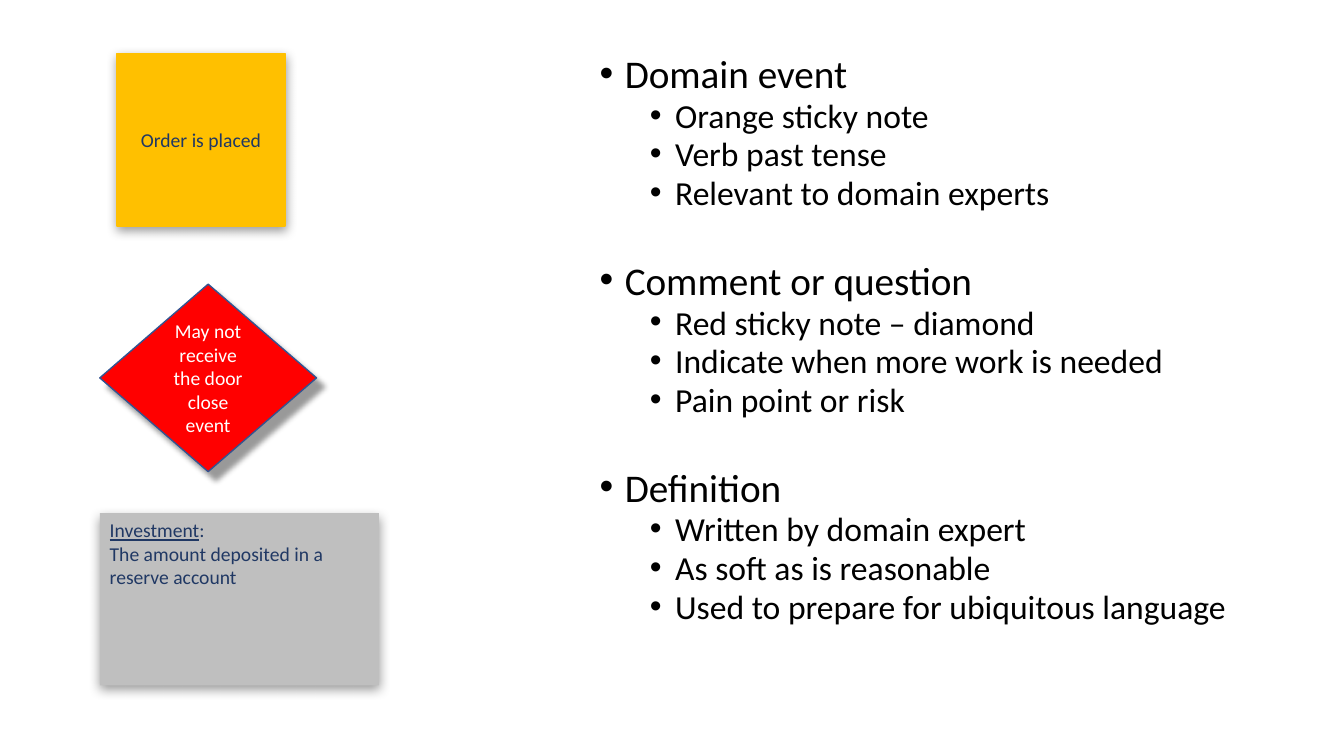
from lxml.etree import SubElement
from pptx import Presentation
from pptx.dml.color import RGBColor
from pptx.enum.shapes import MSO_SHAPE as Shape
from pptx.enum.text import MSO_ANCHOR as Anchor, PP_ALIGN as Align
from pptx.oxml.ns import qn
from pptx.util import Pt

BLACK = RGBColor(0, 0, 0)
WHITE = RGBColor(255, 255, 255)
NAVY = RGBColor(0x20, 0x38, 0x64)
BLUE = RGBColor(0x32, 0x54, 0x91)
ORANGE = RGBColor(0xFF, 0xC0, 0)
RED = RGBColor(255, 0, 0)
GRAY = RGBColor(0xBF, 0xBF, 0xBF)
FONT = "Calibri"

TOPICS = [
    ("Domain event", ["Orange sticky note", "Verb past tense",
                      "Relevant to domain experts"]),
    ("Comment or question", ["Red sticky note – diamond",
                             "Indicate when more work is needed",
                             "Pain point or risk"]),
    ("Definition", ["Written by domain expert", "As soft as is reasonable",
                    "Used to prepare for ubiquitous language"]),
]
LIST_BOX = (421.2, 38.2, 489.6, 450.7)
TOPIC_GAP = 37.9

# shadow: blur, distance, angle in degrees
SOFT = (8, 3, 90)
HARD = (4, 8, 50)
# kind, box, fill, line, text colour, shadow, centred, lines
NOTES = [
    (Shape.RECTANGLE, (83.5, 38.2, 120.2, 123.1), ORANGE, ORANGE, NAVY,
     SOFT, True, ["Order is placed"]),
    (Shape.DIAMOND, (71.3, 203, 154.8, 133.9), RED, BLUE, WHITE,
     HARD, True, ["May not receive the door close event"]),
    (Shape.RECTANGLE, (71.3, 366.5, 199.4, 123.1), GRAY, None, NAVY,
     SOFT, False, ["Investment:", "The amount deposited in a reserve account"]),
]


def style(run, size, color):
    run.font.name = FONT
    run.font.size = Pt(size)
    run.font.color.rgb = color


def add_bullet(para, text, level, gap):
    para.text = text
    para.level = level
    para.line_spacing = 0.8
    para.space_before = Pt(gap)
    style(para.runs[0], 24 if level else 28, BLACK)
    props = para._p.get_or_add_pPr()
    props.set("marL", str(Pt(54 if level else 18)))
    props.set("indent", str(Pt(-18)))
    SubElement(props, qn("a:buFont"), typeface="Arial")
    SubElement(props, qn("a:buChar"), char="•")


def add_list(slide):
    frame = slide.shapes.add_textbox(*map(Pt, LIST_BOX)).text_frame
    frame.word_wrap = True
    for i, (topic, points) in enumerate(TOPICS):
        head = frame.add_paragraph() if i else frame.paragraphs[0]
        add_bullet(head, topic, 0, TOPIC_GAP if i else 0)
        for point in points:
            add_bullet(frame.add_paragraph(), point, 1, 4.6)


def add_shadow(shape, blur, dist, angle):
    shape.shadow.inherit = False
    effects = shape._element.spPr.find(qn("a:effectLst"))
    outer = SubElement(effects, qn("a:outerShdw"), blurRad=str(Pt(blur)),
                       dist=str(Pt(dist)), dir=str(angle * 60000),
                       algn="tl", rotWithShape="0")
    color = SubElement(outer, qn("a:srgbClr"), val=str(BLACK))
    SubElement(color, qn("a:alpha"), val="40000")


def add_note(slide, kind, box, fill, line, ink, shadow, center, lines):
    note = slide.shapes.add_shape(kind, *map(Pt, box))
    note.fill.solid()
    note.fill.fore_color.rgb = fill
    if line is None:
        note.line.fill.background()
    else:
        note.line.color.rgb = line
        note.line.width = Pt(1)
    add_shadow(note, *shadow)
    frame = note.text_frame
    frame.word_wrap = True
    frame.vertical_anchor = Anchor.MIDDLE if center else Anchor.TOP
    frame.text = "\n".join(lines)
    for para in frame.paragraphs:
        para.alignment = Align.CENTER if center else Align.LEFT
        run = para.runs[0]
        style(run, 14, ink)
        if run.text.endswith(":"):
            run.text = run.text[:-1]
            run.font.underline = True
            colon = para.add_run()
            colon.text = ":"
            style(colon, 14, ink)


def main():
    deck = Presentation()
    deck.slide_width, deck.slide_height = Pt(960), Pt(540)
    slide = deck.slides.add_slide(deck.slide_layouts[6])
    add_list(slide)
    for note in NOTES:
        add_note(slide, *note)
    deck.save("out.pptx")


if __name__ == "__main__":
    main()
